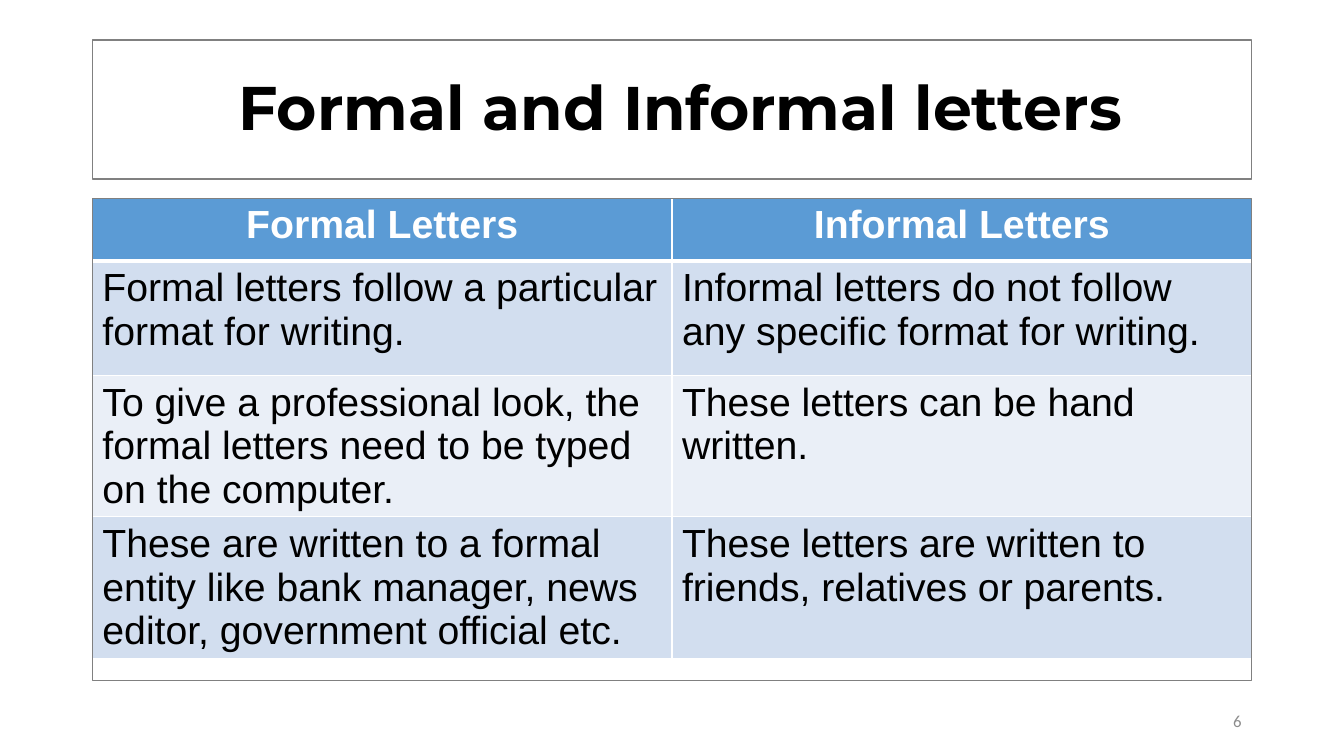
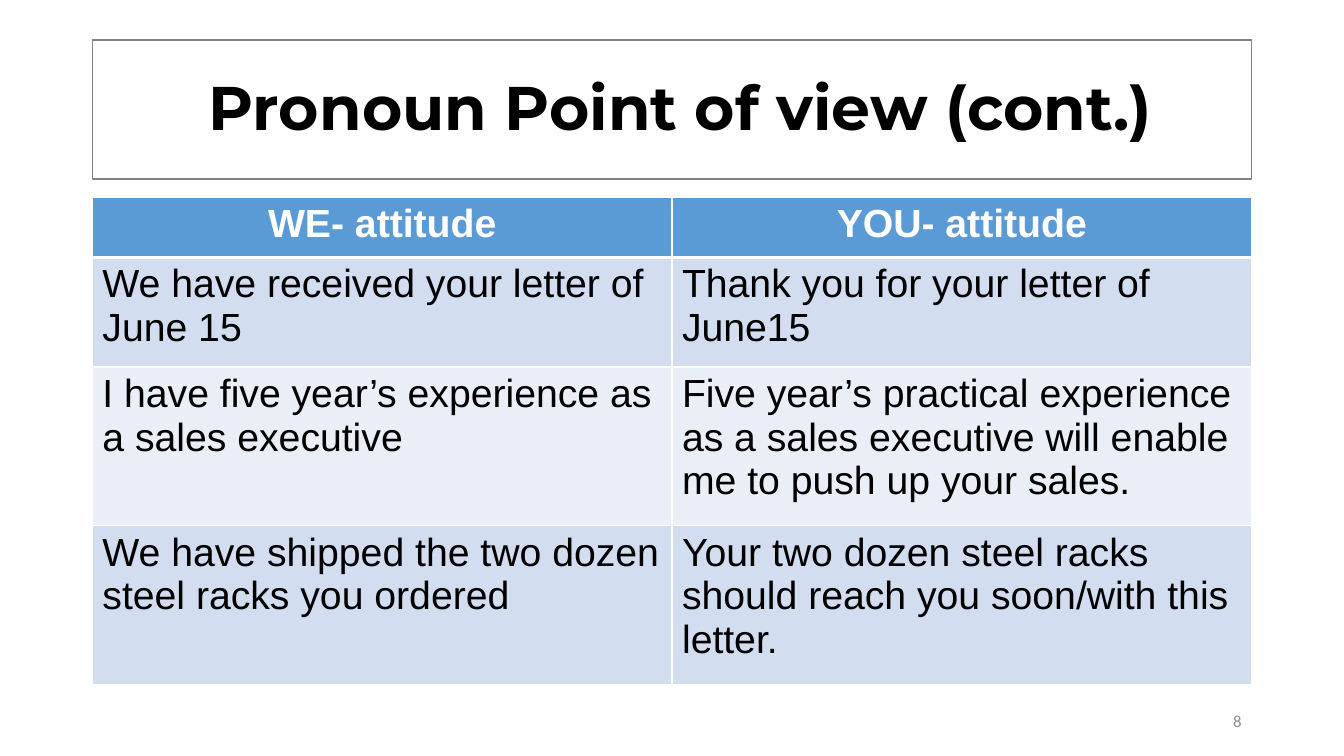
from dataclasses import dataclass

from lxml import etree
from pptx import Presentation
from pptx.dml.color import RGBColor
from pptx.enum.shapes import MSO_SHAPE
from pptx.enum.text import MSO_ANCHOR, MSO_AUTO_SIZE, PP_ALIGN
from pptx.oxml.ns import qn
from pptx.util import Pt

CENTER, LEFT, RIGHT = PP_ALIGN.CENTER, PP_ALIGN.LEFT, PP_ALIGN.RIGHT
MIDDLE = MSO_ANCHOR.MIDDLE
NO_AUTOFIT = MSO_AUTO_SIZE.NONE
RECTANGLE = MSO_SHAPE.RECTANGLE
TITLE_ONLY = 5


@dataclass(frozen=True)
class Theme:
    black: str = "000000"
    white: str = "FFFFFF"
    header: str = "5B9BD5"
    bands: tuple = ("D2DEEF", "EAEFF7")
    frame: str = "808080"
    number: str = "8C8C8C"
    title_font: str = "Montserrat"
    table_font: str = "Arial"
    number_font: str = "Calibri"
    title_size: int = 44
    table_size: int = 28
    number_size: int = 12
    thin: int = 1
    thick: int = 3


THEME = Theme()
SLIDE_SIZE = (960, 540)
MARGIN, CONTENT_WIDTH = 66, 828
TITLE_BOX = (MARGIN, 28.5, CONTENT_WIDTH, 100.8)
TITLE_FRAME = (MARGIN, 28.5, CONTENT_WIDTH, 99.4)
TABLE_FRAME = (MARGIN, 141.8, CONTENT_WIDTH, 344.2)
NUMBER_BOX = (678, 500.5, 216, 28.8)
TITLE_INSET = 19.4

SLIDES = [
    {
        "title": "Formal and Informal letters",
        "number": 6,
        "table_top": 141.8,
        "heights": (44.6, 82, 82, 95.8),
        "frames_on_top": True,
        "rows": [
            ("Formal Letters", "Informal Letters"),
            ("Formal letters follow a particular format for writing.",
             "Informal letters do not follow any specific format for writing."),
            ("To give a professional look, the formal letters need to be typed on the computer.",
             "These letters can be hand written."),
            ("These are written to a formal entity like bank manager, news editor, "
             "government official etc.",
             "These letters are written to friends, relatives or parents."),
        ],
    },
    {
        "title": "Pronoun Point of view (cont.)",
        "number": 8,
        "table_top": 140.7,
        "heights": (43.2, 78.2, 113.4, 113.4),
        "frames_on_top": False,
        "rows": [
            ("WE- attitude", "YOU- attitude"),
            ("We have received your letter of June 15",
             "Thank you for your letter of June15"),
            ("I have five year’s experience as a sales executive",
             "Five year’s practical experience as a sales executive will enable me "
             "to push up your sales."),
            ("We have shipped the two dozen steel racks you ordered",
             "Your two dozen steel racks should reach you soon/with this letter."),
        ],
    },
]


class Deck:
    def __init__(self, theme):
        self.theme = theme
        self.presentation = Presentation()
        self.presentation.slide_width, self.presentation.slide_height = map(Pt, SLIDE_SIZE)
        self.slide = None

    def add_slide(self):
        layout = self.presentation.slide_layouts[TITLE_ONLY]
        self.slide = self.presentation.slides.add_slide(layout)

    def set_text(self, text_frame, text, color, align, **font_format):
        text_frame.text = text
        paragraph = text_frame.paragraphs[0]
        paragraph.alignment = align
        font = paragraph.runs[0].font
        font.color.rgb = RGBColor.from_string(color)
        for attribute, value in font_format.items():
            setattr(font, attribute, value)
        return paragraph

    def title(self, text):
        heading = self.slide.shapes.title
        heading.left, heading.top, heading.width, heading.height = map(Pt, TITLE_BOX)
        frame_format = {"word_wrap": True, "auto_size": NO_AUTOFIT,
                        "vertical_anchor": MIDDLE, "margin_left": Pt(TITLE_INSET)}
        for attribute, value in frame_format.items():
            setattr(heading.text_frame, attribute, value)
        line = self.set_text(heading.text_frame, text, self.theme.black, CENTER,
                             name=self.theme.title_font, size=Pt(self.theme.title_size),
                             bold=True)
        line.line_spacing = 0.9

    def frame(self, box):
        outline = self.slide.shapes.add_shape(RECTANGLE, *map(Pt, box))
        outline.shadow.inherit = False
        outline.fill.background()
        outline.line.color.rgb = RGBColor.from_string(self.theme.frame)
        outline.line.width = Pt(self.theme.thin)

    def page_number(self, number):
        corner = self.slide.shapes.add_textbox(*map(Pt, NUMBER_BOX)).text_frame
        corner.word_wrap = True
        corner.vertical_anchor = MIDDLE
        self.set_text(corner, str(number), self.theme.number, RIGHT,
                      name=self.theme.number_font, size=Pt(self.theme.number_size))

    def cell_borders(self, cell, **widths):
        properties = cell._tc.get_or_add_tcPr()
        for side in "LRTB":
            line = etree.SubElement(properties, qn(f"a:ln{side}"),
                                    w=str(Pt(widths.get(side, self.theme.thin))))
            fill = etree.SubElement(line, qn("a:solidFill"))
            etree.SubElement(fill, qn("a:srgbClr"), val=self.theme.white)

    def comparison(self, rows, top, heights):
        """Table with a header row, banded body and a thick rule under the header."""
        theme = self.theme
        table = self.slide.shapes.add_table(
            len(rows), len(rows[0]), Pt(MARGIN), Pt(top),
            Pt(CONTENT_WIDTH), Pt(sum(heights))).table
        for row_index, (texts, height) in enumerate(zip(rows, heights)):
            table.rows[row_index].height = Pt(height)
            is_header = row_index == 0
            if is_header:
                fill, color, align = theme.header, theme.white, CENTER
            else:
                fill = theme.bands[(row_index - 1) % len(theme.bands)]
                color, align = theme.black, LEFT
            rule = {0: {"B": theme.thick}, 1: {"T": theme.thick}}.get(row_index, {})
            for column, text in enumerate(texts):
                cell = table.cell(row_index, column)
                self.cell_borders(cell, **rule)
                cell.fill.solid()
                cell.fill.fore_color.rgb = RGBColor.from_string(fill)
                self.set_text(cell.text_frame, text, color, align, name=theme.table_font,
                              size=Pt(theme.table_size), bold=is_header)

    def comparison_slide(self, title, number, table_top, heights, frames_on_top, rows):
        self.add_slide()
        self.title(title)
        if frames_on_top:
            self.comparison(rows, table_top, heights)
        self.page_number(number)
        for box in (TABLE_FRAME, TITLE_FRAME):
            self.frame(box)
        if not frames_on_top:
            self.comparison(rows, table_top, heights)


def main():
    deck = Deck(THEME)
    for content in SLIDES:
        deck.comparison_slide(**content)
    deck.presentation.save("out.pptx")


if __name__ == "__main__":
    main()
